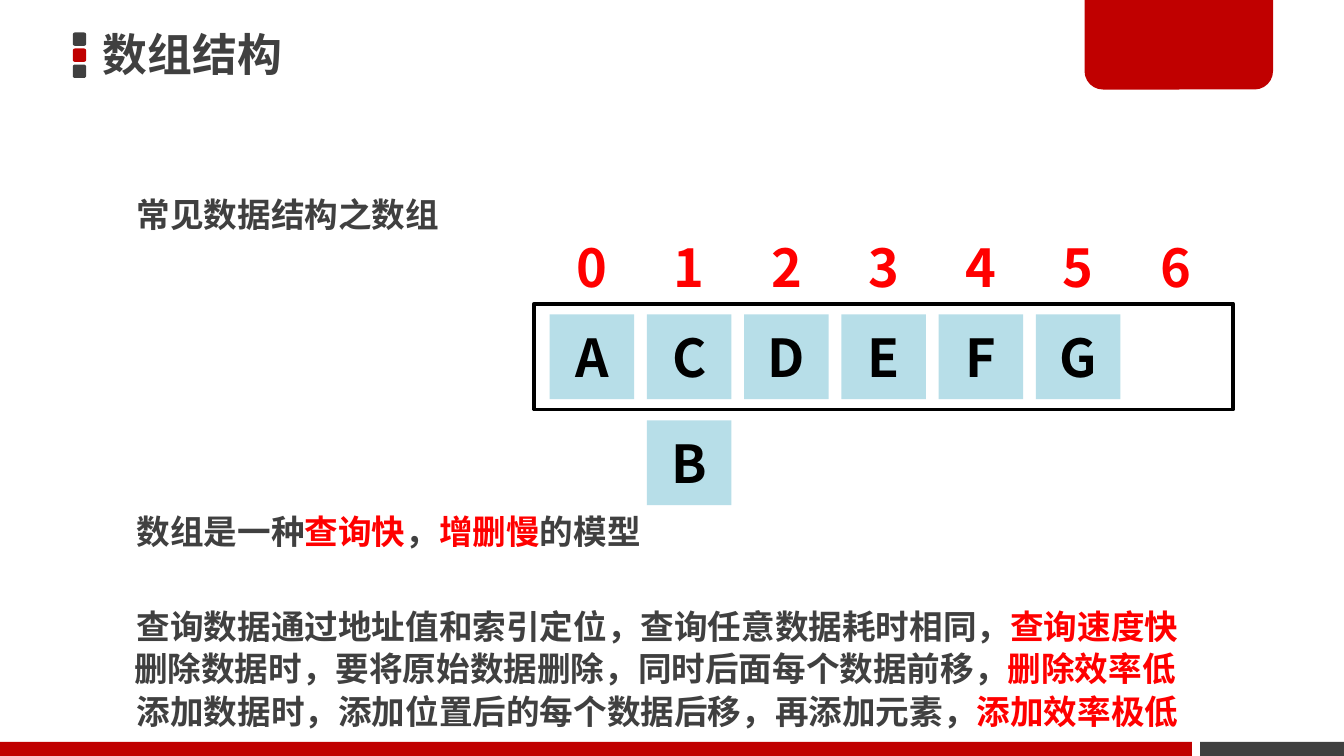
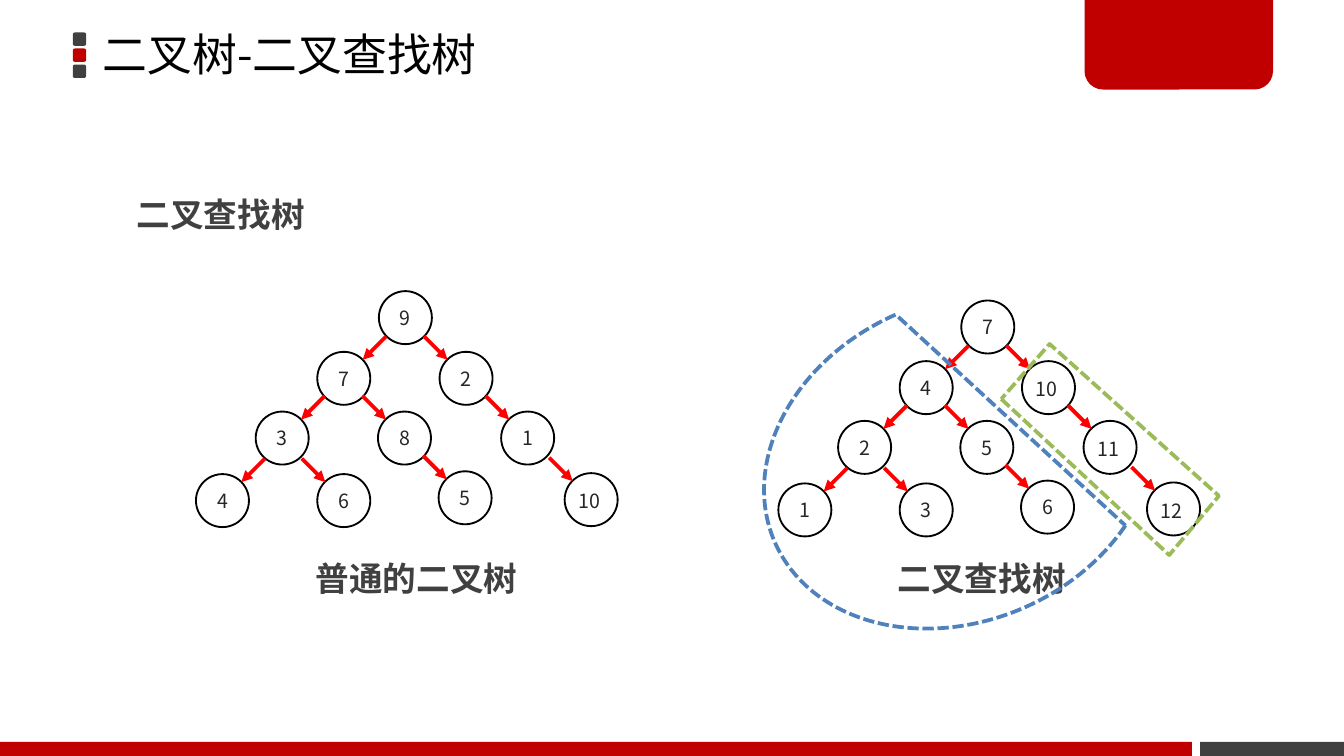
"""Build two slides on arrays and binary search trees."""
from dataclasses import dataclass
from typing import Any

from lxml.etree import SubElement
from pptx import Presentation
from pptx.dml.color import RGBColor
from pptx.enum.dml import MSO_LINE
from pptx.enum.shapes import MSO_CONNECTOR, MSO_SHAPE
from pptx.enum.text import MSO_ANCHOR, MSO_AUTO_SIZE, PP_ALIGN
from pptx.oxml.ns import qn
from pptx.util import Pt

COLORS = {
    "gray": "404040", "red": "C00000", "bright": "FF0000", "black": "000000",
    "ink": "262626", "cell": "B7DEE8", "blue": "4F81BD", "green": "9BBB59",
}
SANS = "Noto Sans CJK SC"
HEAD = "Noto Sans CJK JP"


@dataclass(frozen=True)
class Box:
    x: float
    y: float
    w: float
    h: float

    def place(self) -> tuple[Pt, ...]:
        return Pt(self.x), Pt(self.y), Pt(self.w), Pt(self.h)


@dataclass(frozen=True)
class Node:
    x: float
    y: float
    side: str = ""


@dataclass(frozen=True)
class Tree:
    dx: float
    dy: float
    keys: tuple[int, ...]


@dataclass(frozen=True)
class Note:
    box: Box
    texts: tuple[str, ...]


DOTS = [(Box(39, 17.4 + 8.6 * i, 7.2, 7.2), tint)
        for i, tint in enumerate(("gray", "red", "gray"))]
BANDS = [(Box(643, 397.5, 77, 7.5), "gray"), (Box(0, 397.5, 638.5, 7.5), "red")]
TAB = Box(581, -1.5, 101, 49.5)

SIDE = 45.4
STEP = 52.1
LEFT = 294.4

NODE = 28.4
NODES = (
    Node(203, 156),
    Node(170, 188.5, "left"), Node(235.5, 188.5, "right"),
    Node(137, 220.5, "left"), Node(202.5, 220.5, "right"), Node(268.5, 220.5, "right"),
    Node(105, 254, "left"), Node(170, 254, "right"), Node(235, 252.5, "right"),
    Node(302.5, 253.5, "right"),
)
TREES = (
    Tree(0, 0, (9, 7, 2, 3, 8, 1, 4, 6, 5, 10)),
    Tree(312, 5, (7, 4, 10, 2, 5, 11, 1, 3, 6, 12)),
)
NOTES = (
    Note(Box(66.2, 89.3, 276.5, 40), ("常见数据结构之数组",)),
    Note(Box(64.8, 332.6, 618, 36),
         ("删除数据时，要将原始数据删除，同时后面每个数据前移，", "删除效率低")),
    Note(Box(66.2, 355.7, 618, 36),
         ("添加数据时，添加位置后的每个数据后移，再添加元素，", "添加效率极低")),
    Note(Box(66.2, 259.2, 327.6, 40),
         ("数组是一种", "查询快", "，", "增删慢", "的模型")),
    Note(Box(66.2, 310.3, 605.5, 40),
         ("查询数据通过地址值和索引定位，查询任意数据耗时相同，", "查询速度快")),
)


def paint(name: str) -> RGBColor:
    """Look up a colour by name."""
    return RGBColor.from_string(COLORS[name])


def write(frame: Any, *texts: str, size: float = 18, font: str = SANS,
          tint: str = "gray", bold: bool = False, align: Any = PP_ALIGN.LEFT,
          lead: float = 1.0, wrap: bool = True, middle: bool = False,
          grow: bool = False) -> None:
    """Write texts as one paragraph, every second one in bright red."""
    frame.word_wrap = wrap
    frame.auto_size = MSO_AUTO_SIZE.SHAPE_TO_FIT_TEXT if grow else MSO_AUTO_SIZE.NONE
    frame.vertical_anchor = MSO_ANCHOR.MIDDLE if middle else MSO_ANCHOR.TOP
    para = frame.paragraphs[0]
    para.alignment = align
    para.line_spacing = lead
    for i, text in enumerate(texts):
        run = para.add_run()
        run.text = text
        run.font.size = Pt(size)
        run.font.bold = bold
        run.font.color.rgb = paint("bright" if i % 2 else tint)
        run.font.name = font
        SubElement(run._r.get_or_add_rPr(), qn("a:ea"), typeface=font)


def style(shape: Any, fill: str = "", line: str = "", width: float = 1,
          dash: bool = False) -> None:
    """Set the fill and outline of a shape."""
    shape.shadow.inherit = False
    if fill:
        shape.fill.solid()
        shape.fill.fore_color.rgb = paint(fill)
    else:
        shape.fill.background()
    if line:
        shape.line.color.rgb = paint(line)
        shape.line.width = Pt(width)
        if dash:
            shape.line.dash_style = MSO_LINE.SQUARE_DOT
    else:
        shape.line.fill.background()


def draw(shapes: Any, kind: Any, box: Box, **look: Any) -> Any:
    """Add a preset shape."""
    shape = shapes.add_shape(kind, *box.place())
    style(shape, **look)
    return shape


def label(slide: Any, box: Box, *texts: str, **form: Any) -> None:
    """Add a text box."""
    write(slide.shapes.add_textbox(*box.place()).text_frame, *texts, **form)


def arrow(slide: Any, x: float, y: float, end_x: float, end_y: float) -> None:
    """Add a red arrow."""
    line = slide.shapes.add_connector(
        MSO_CONNECTOR.STRAIGHT, Pt(x), Pt(y), Pt(end_x), Pt(end_y))
    line.line.color.rgb = paint("bright")
    line.line.width = Pt(2)
    props = line._element.spPr
    SubElement(props.get_or_add_ln(), qn("a:tailEnd"), type="triangle")
    SubElement(props, qn("a:effectLst"))


def start(deck: Any, text: str, box: Box, **form: Any) -> Any:
    """Add a slide with its title and shared decor."""
    slide = deck.slides.add_slide(deck.slide_layouts[5])
    group = slide.shapes.add_group_shape()
    for dot, tint in DOTS:
        draw(group.shapes, MSO_SHAPE.ROUNDED_RECTANGLE, dot, fill=tint)
    for band, tint in BANDS:
        draw(slide.shapes, MSO_SHAPE.RECTANGLE, band, fill=tint)
    tab = draw(slide.shapes, MSO_SHAPE.ROUND_2_SAME_RECTANGLE, TAB, fill="red")
    tab.adjustments[0], tab.adjustments[1] = 0, 0.2
    title = slide.shapes.title
    title.left, title.top, title.width, title.height = box.place()
    frame = title.text_frame
    frame.margin_left = frame.margin_right = Pt(5.4)
    frame.margin_top = frame.margin_bottom = Pt(2.7)
    write(frame, text, size=24, font=HEAD, middle=True, **form)
    return slide


def cell(slide: Any, col: int, y: float, key: str) -> None:
    """Draw one array cell."""
    box = Box(LEFT + STEP * col, y, SIDE, SIDE)
    shape = draw(slide.shapes, MSO_SHAPE.RECTANGLE, box, fill="cell")
    write(shape.text_frame, key, size=28, font=HEAD, tint="black", bold=True,
          align=PP_ALIGN.CENTER, middle=True)


def plant(slide: Any, tree: Tree) -> None:
    """Draw the nodes and arrows of a tree."""
    form = {"size": 10.5, "tint": "ink", "align": PP_ALIGN.CENTER, "wrap": False}
    for node, key in zip(NODES, tree.keys):
        x, y = node.x + tree.dx, node.y + tree.dy
        ring = draw(slide.shapes, MSO_SHAPE.OVAL, Box(x, y, NODE, NODE), line="black")
        if key < 10:
            write(ring.text_frame, str(key), middle=True, **form)
        else:
            label(slide, Box(x - 0.5, y + 5, 27.4, 20), str(key), grow=True, **form)
        if node.side:
            left = node.side == "left"
            tip = x + (24.3 if left else 4.3)
            tail = tip + (12.6 if left else -12.6)
            arrow(slide, tail, y - 8.3, tip, y + 4.3)


def show_list(deck: Any) -> None:
    """Build the array slide."""
    slide = start(deck, "数组结构", Box(49.7, 13.7, 517.7, 30.2), bold=True)
    draw(slide.shapes, MSO_SHAPE.RECTANGLE, Box(286.3, 162.7, 374.4, 56.7),
         line="black", width=2)
    for col, key in enumerate("ACDEFG"):
        cell(slide, col, 168.5, key)
    cell(slide, 1, 225.2, "B")
    for col in range(7):
        label(slide, Box(LEFT + STEP * col, 120.2, SIDE, SIDE), str(col), size=28,
              font=HEAD, tint="bright", bold=True, align=PP_ALIGN.CENTER, middle=True)
    for note in NOTES:
        label(slide, note.box, *note.texts, bold=True, lead=1.5, grow=True)


def show_trees(deck: Any) -> None:
    """Build the tree slide."""
    slide = start(deck, "二叉树-二叉查找树", Box(49.7, -1.4, 424, 64),
                  tint="black", lead=0.9)
    label(slide, Box(66.2, 89.3, 238.3, 40), "二叉查找树", bold=True, lead=1.5, grow=True)
    for tree in TREES:
        plant(slide, tree)
    for x, w, name in ((162, 123.8, "普通的二叉树"), (473.8, 105.1, "二叉查找树")):
        label(slide, Box(x, 295.2, w, 29), name, bold=True, wrap=False, grow=True)
    chord = draw(slide.shapes, MSO_SHAPE.CHORD, Box(406, 161.3, 216.7, 171.4),
                 line="blue", width=2, dash=True)
    chord.rotation = 336.3
    edge = slide.shapes.build_freeform(Pt(536.4), Pt(213.8))
    edge.add_line_segments([(Pt(x), Pt(y)) for x, y in
                            ((626.4, 297.4), (653, 265.7), (562.3, 184.3))], close=True)
    style(edge.convert_to_shape(), line="green", width=2, dash=True)


def main() -> None:
    """Build and save the deck."""
    deck = Presentation()
    deck.slide_width, deck.slide_height = Pt(720), Pt(405)
    show_list(deck)
    show_trees(deck)
    deck.save("out.pptx")


if __name__ == "__main__":
    main()
